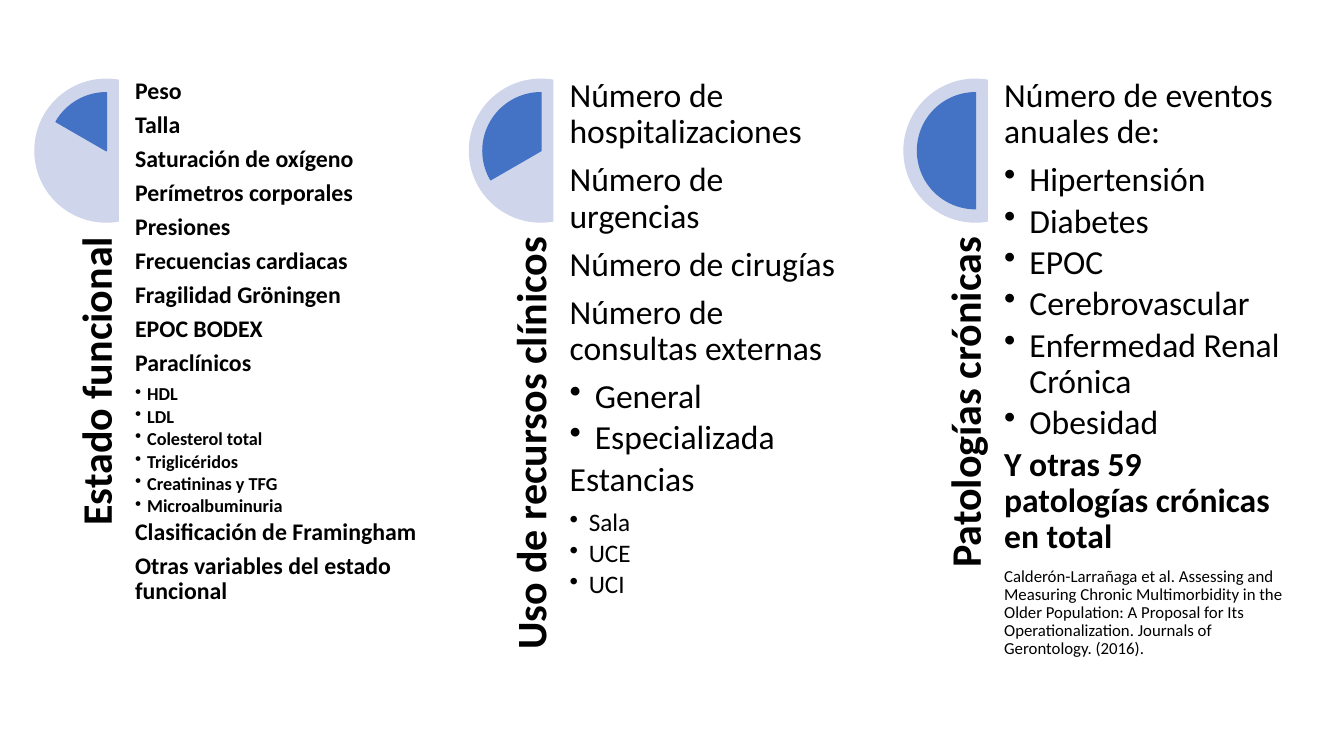
from dataclasses import dataclass

from lxml import etree
from pptx import Presentation
from pptx import util as u
from pptx.dml.color import RGBColor
from pptx.enum import shapes, text
from pptx.oxml.ns import qn

EMU_PER_PX = 9144  # 100 px to the inch


@dataclass(frozen=True)
class Style:
    size: int
    bold: bool = False
    indent: int = 0  # px; a bullet is drawn when above zero


class Theme:
    font = "Calibri"
    ink = RGBColor(0x00, 0x00, 0x00)
    dial = RGBColor(0xCF, 0xD5, 0xEA)
    wedge = RGBColor(0x44, 0x72, 0xC4)
    heading = Style(30, bold=True)
    strong = Style(17, bold=True)
    strong_bullet = Style(13, bold=True, indent=12)
    body = Style(24)
    bullet = Style(24, indent=25)
    small_bullet = Style(18, indent=19)
    emphasis = Style(24, bold=True)
    citation = Style(12)


# Heading and (style, lines) groups of each column
COLUMNS = [
    ("Estado funcional", [
        (Theme.strong, ["Peso", "Talla", "Saturación de oxígeno",
                        "Perímetros corporales", "Presiones",
                        "Frecuencias cardiacas", "Fragilidad Gröningen",
                        "EPOC BODEX", "Paraclínicos"]),
        (Theme.strong_bullet, ["HDL", "LDL", "Colesterol total", "Triglicéridos",
                               "Creatininas y TFG", "Microalbuminuria"]),
        (Theme.strong, ["Clasificación de Framingham",
                        "Otras variables del estado funcional"]),
    ]),
    ("Uso de recursos clínicos", [
        (Theme.body, ["Número de hospitalizaciones", "Número de urgencias",
                      "Número de cirugías", "Número de consultas externas"]),
        (Theme.bullet, ["General", "Especializada"]),
        (Theme.body, ["Estancias"]),
        (Theme.small_bullet, ["Sala", "UCE", "UCI"]),
    ]),
    ("Patologías crónicas", [
        (Theme.body, ["Número de eventos anuales de:"]),
        (Theme.bullet, ["Hipertensión", "Diabetes", "EPOC", "Cerebrovascular",
                        "Enfermedad Renal Crónica", "Obesidad"]),
        (Theme.emphasis, ["Y otras 59 patologías crónicas en total"]),
        (Theme.citation, ["Calderón-Larrañaga et al. Assessing and Measuring Chronic "
                          "Multimorbidity in the Older Population: A Proposal for Its "
                          "Operationalization. Journals of Gerontology. (2016)."]),
    ]),
]


def px(*lengths):
    return [u.Emu(length * EMU_PER_PX) for length in lengths]


def add_sector(slide, kind, box, start, end, color):
    """Add a chord or pie between two angles in degrees."""
    sector = slide.shapes.add_shape(kind, *px(*box))
    sector.shadow.inherit = False
    # One adjustment unit is 100000 sixty-thousandths of a degree
    sector.adjustments[0] = start * 0.6
    sector.adjustments[1] = end * 0.6
    sector.fill.solid()
    sector.fill.fore_color.rgb = color
    return sector


def add_text_frame(slide, box, anchor, rotation=0):
    holder = slide.shapes.add_textbox(*px(*box))
    holder.rotation = rotation
    frame = holder.text_frame
    frame.word_wrap = True
    frame.vertical_anchor = anchor
    frame.margin_left = frame.margin_top = frame.margin_right = frame.margin_bottom = 0
    return frame


def write_line(paragraph, words, style):
    paragraph.line_spacing = 0.9
    paragraph.space_after = u.Pt(style.size * (0.15 if style.indent else 0.35))
    if style.indent:
        paragraph.level = 1
        props = paragraph._p.get_or_add_pPr()
        indent = style.indent * EMU_PER_PX
        props.set("marL", str(indent))
        props.set("indent", str(-indent))
        etree.SubElement(props, qn("a:buChar")).set("char", "•")
    run = paragraph.add_run()
    run.text = words
    run.font.name = Theme.font
    run.font.size = u.Pt(style.size)
    run.font.bold = style.bold
    run.font.color.rgb = Theme.ink


def add_dial(slide, left, top, sweep):
    """Half-open disc with a wedge that ends at twelve o'clock."""
    size, inset = 143, 14
    disc = add_sector(slide, shapes.MSO_SHAPE.CHORD, (left, top, size, size),
                      80, 280, Theme.dial)
    disc.line.fill.background()
    inner = size - 2 * inset
    wedge = add_sector(slide, shapes.MSO_SHAPE.PIE,
                       (left + inset, top + inset, inner, inner),
                       270 - sweep, 270, Theme.wedge)
    wedge.line.color.rgb = Theme.wedge
    wedge.line.width = u.Pt(1)


def add_column(slide, left, top, heading, groups, sweep):
    add_dial(slide, left, top, sweep)

    # Heading, reading upwards beneath the dial
    title = add_text_frame(slide, (left - 164, top + 321, 414, 86),
                           text.MSO_ANCHOR.BOTTOM, rotation=270)
    title.paragraphs[0].alignment = text.PP_ALIGN.RIGHT
    write_line(title.paragraphs[0], heading, Theme.heading)

    # Variables
    details = add_text_frame(slide, (left + 100, top, 286, 571), text.MSO_ANCHOR.TOP)
    lines = [(words, style) for style, group in groups for words in group]
    for number, (words, style) in enumerate(lines):
        paragraph = details.add_paragraph() if number else details.paragraphs[0]
        write_line(paragraph, words, style)


def main():
    deck = Presentation()
    deck.slide_width, deck.slide_height = px(1333, 750)
    slide = deck.slides.add_slide(deck.slide_layouts[6])
    for number, (heading, groups) in enumerate(COLUMNS):
        add_column(slide, 34 + 431 * number, 78, heading, groups,
                   sweep=60 * (number + 1))
    deck.save("out.pptx")


if __name__ == "__main__":
    main()
